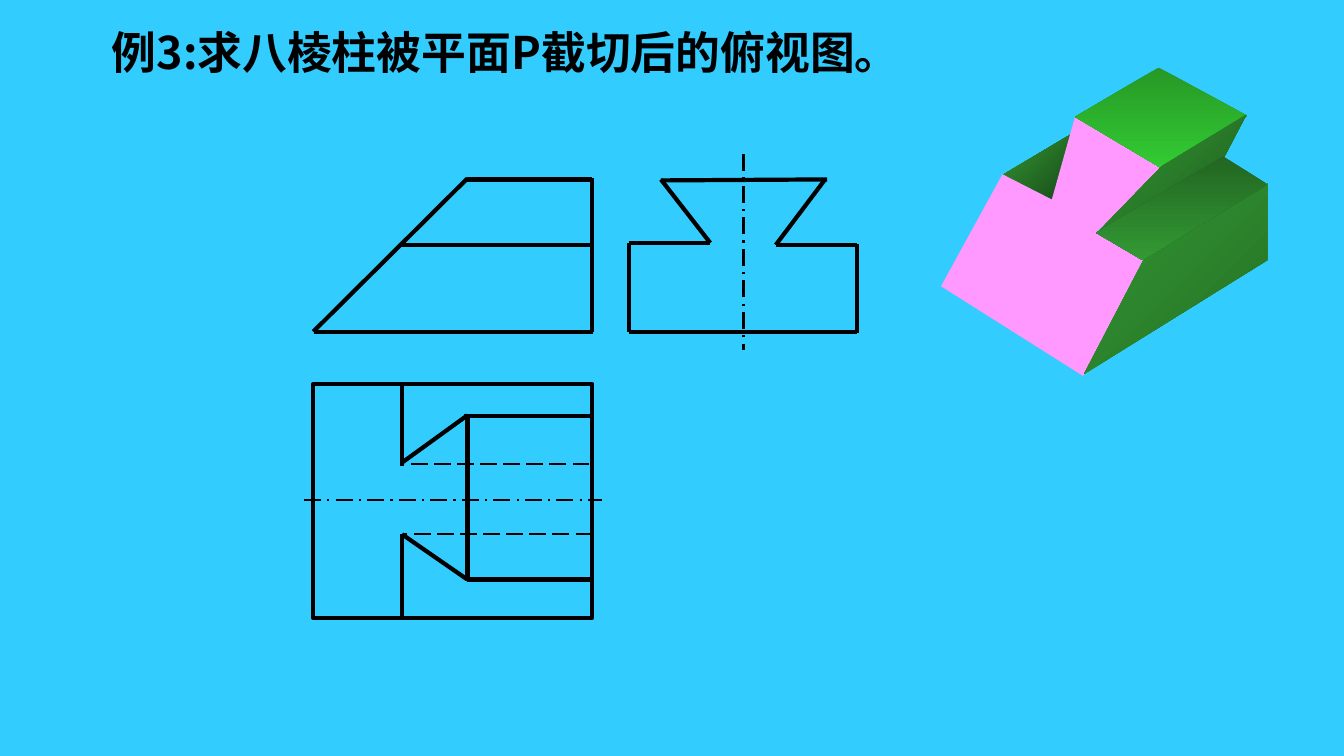
"""Build the slide showing an octagonal prism cut by a plane, with its three views."""
import dataclasses

import lxml.etree
import pptx
import pptx.dml.color
import pptx.enum.dml
import pptx.enum.shapes
import pptx.enum.text
import pptx.oxml.ns
import pptx.util

Inches = pptx.util.Inches
DASH = pptx.enum.dml.MSO_LINE


@dataclasses.dataclass(frozen=True)
class Theme:
    font: str = "Noto Sans CJK SC"
    title_size: float = 32
    title_line: float = 39.3
    background: str = "33CCFF"
    ink: str = "000000"
    cut: str = "FF99FF"
    notch: tuple = ("339933", "184718", 45)
    top: tuple = ("269826", "33CC33", 90)
    flank: tuple = ("339933", "1F5D1F", 45)
    side: tuple = ("339933", "256F25", 45)
    ledge: tuple = ("226622", "339933", 90)
    outline: float = 3
    thin: float = 1.5


def rgb(value):
    return pptx.dml.color.RGBColor.from_string(value)


def apply(target, values):
    for name, value in values.items():
        setattr(target, name, value)


class Drawing:
    def __init__(self, slide, theme):
        self.slide = slide
        self.theme = theme
        fill = slide.background.fill
        fill.solid()
        fill.fore_color.rgb = rgb(theme.background)

    def title(self, text, left, top, width, height):
        shape = self.slide.shapes.title
        apply(shape, {"left": Inches(left), "top": Inches(top),
                      "width": Inches(width), "height": Inches(height)})
        frame = shape.text_frame
        apply(frame, {"text": text, "word_wrap": True,
                      "auto_size": pptx.enum.text.MSO_AUTO_SIZE.NONE,
                      "vertical_anchor": pptx.enum.text.MSO_ANCHOR.TOP})
        paragraph = frame.paragraphs[0]
        apply(paragraph, {"alignment": pptx.enum.text.PP_ALIGN.LEFT,
                          "line_spacing": pptx.util.Pt(self.theme.title_line)})
        run = paragraph.runs[0]
        apply(run.font, {"name": self.theme.font, "bold": True,
                         "size": pptx.util.Pt(self.theme.title_size)})
        run.font.color.rgb = rgb(self.theme.ink)
        lxml.etree.SubElement(run.font._element, pptx.oxml.ns.qn("a:ea"),
                              typeface=self.theme.font)

    def stroke(self, line, width, dash=None):
        line.color.rgb = rgb(self.theme.ink)
        apply(line, {"width": pptx.util.Pt(width), "dash_style": dash})

    def line(self, *ends, dash=None):
        connector = self.slide.shapes.add_connector(
            pptx.enum.shapes.MSO_CONNECTOR.STRAIGHT, *map(Inches, ends))
        self.stroke(connector.line, self.theme.thin if dash else self.theme.outline, dash)
        lxml.etree.SubElement(connector._element.spPr, pptx.oxml.ns.qn("a:effectLst"))

    def rectangle(self, *box):
        shape = self.slide.shapes.add_shape(
            pptx.enum.shapes.MSO_SHAPE.RECTANGLE, *map(Inches, box))
        shape.shadow.inherit = False
        shape.fill.background()
        self.stroke(shape.line, self.theme.outline)

    def face(self, color, points):
        start, *others = [(Inches(x), Inches(y)) for x, y in points]
        builder = self.slide.shapes.build_freeform(*start)
        builder.add_line_segments(others, close=True)
        shape = builder.convert_to_shape()
        shape.shadow.inherit = False
        shape.line.fill.background()
        if isinstance(color, str):
            shape.fill.solid()
            shape.fill.fore_color.rgb = rgb(color)
            return
        *stops, clockwise = color
        shape.fill.gradient()
        shape.fill.gradient_angle = 360 - clockwise
        for stop, value, position in zip(shape.fill.gradient_stops, stops, (0, 1)):
            stop.color.rgb = rgb(value)
            stop.position = position


def main():
    presentation = pptx.Presentation()
    apply(presentation, {"slide_width": Inches(13.34), "slide_height": Inches(7.5)})
    theme = Theme()
    slide = presentation.slides.add_slide(presentation.slide_layouts.get_by_name("Title Only"))
    drawing = Drawing(slide, theme)
    drawing.title("例3:求八棱柱被平面P截切后的俯视图。", 1.01, 0.18, 8.41, 0.64)

    left_view = [
        (6.24, 3.29, 8.51, 3.29), (6.56, 1.79, 8.21, 1.78),
        (6.24, 3.29, 6.24, 2.41), (8.51, 3.3, 8.51, 2.42),
        (6.24, 2.41, 7.05, 2.41), (7.7, 2.43, 8.51, 2.43),
        (7.05, 2.41, 6.56, 1.78), (7.7, 2.43, 8.19, 1.78),
    ]
    front_view = [
        (5.89, 3.29, 3.12, 3.29), (5.88, 3.29, 5.88, 1.77),
        (5.88, 1.78, 4.64, 1.78), (4.64, 1.77, 3.11, 3.29),
        (5.88, 2.43, 3.96, 2.43),
    ]
    top_view = [
        (5.88, 4.13, 4.61, 4.13), (5.88, 5.75, 4.64, 5.75),
        (4.64, 4.14, 4.64, 5.75), (3.99, 4.59, 4.64, 4.12),
        (3.99, 5.3, 4.64, 5.75), (3.99, 3.81, 3.99, 4.62),
        (3.99, 5.3, 3.99, 6.13),
    ]
    center_lines = [(7.38, 1.53, 7.38, 3.47), (3.02, 4.96, 5.98, 4.96)]
    hidden_edges = [(5.85, 4.6, 3.98, 4.6), (5.88, 5.3, 4.01, 5.3)]

    drawing.rectangle(3.11, 3.81, 2.77, 2.32)
    for lines, dash in ((center_lines, DASH.LONG_DASH_DOT), (hidden_edges, DASH.LONG_DASH),
                        (left_view + front_view + top_view, None)):
        for ends in lines:
            drawing.line(*ends, dash=dash)

    prism_faces = [
        (theme.notch, [(9.96, 1.73), (10.45, 2), (10.65, 1.32)]),
        (theme.cut, [(9.95, 1.73), (10.44, 1.98), (10.67, 1.16), (11.53, 1.67),
                     (10.89, 2.3), (11.38, 2.59), (10.75, 3.73), (9.34, 2.84)]),
        (theme.top, [(10.67, 1.16), (11.53, 1.67), (12.38, 1.15), (11.5, 0.67)]),
        (theme.flank, [(11.53, 1.65), (10.89, 2.31), (12.15, 1.56), (12.37, 1.14)]),
        (theme.side, [(11.36, 2.56), (10.76, 3.71), (12.58, 2.58), (12.58, 1.82)]),
        (theme.ledge, [(10.88, 2.31), (12.14, 1.55), (12.58, 1.83), (11.34, 2.58)]),
    ]
    for color, points in prism_faces:
        drawing.face(color, points)
    presentation.save("out.pptx")


if __name__ == "__main__":
    main()
